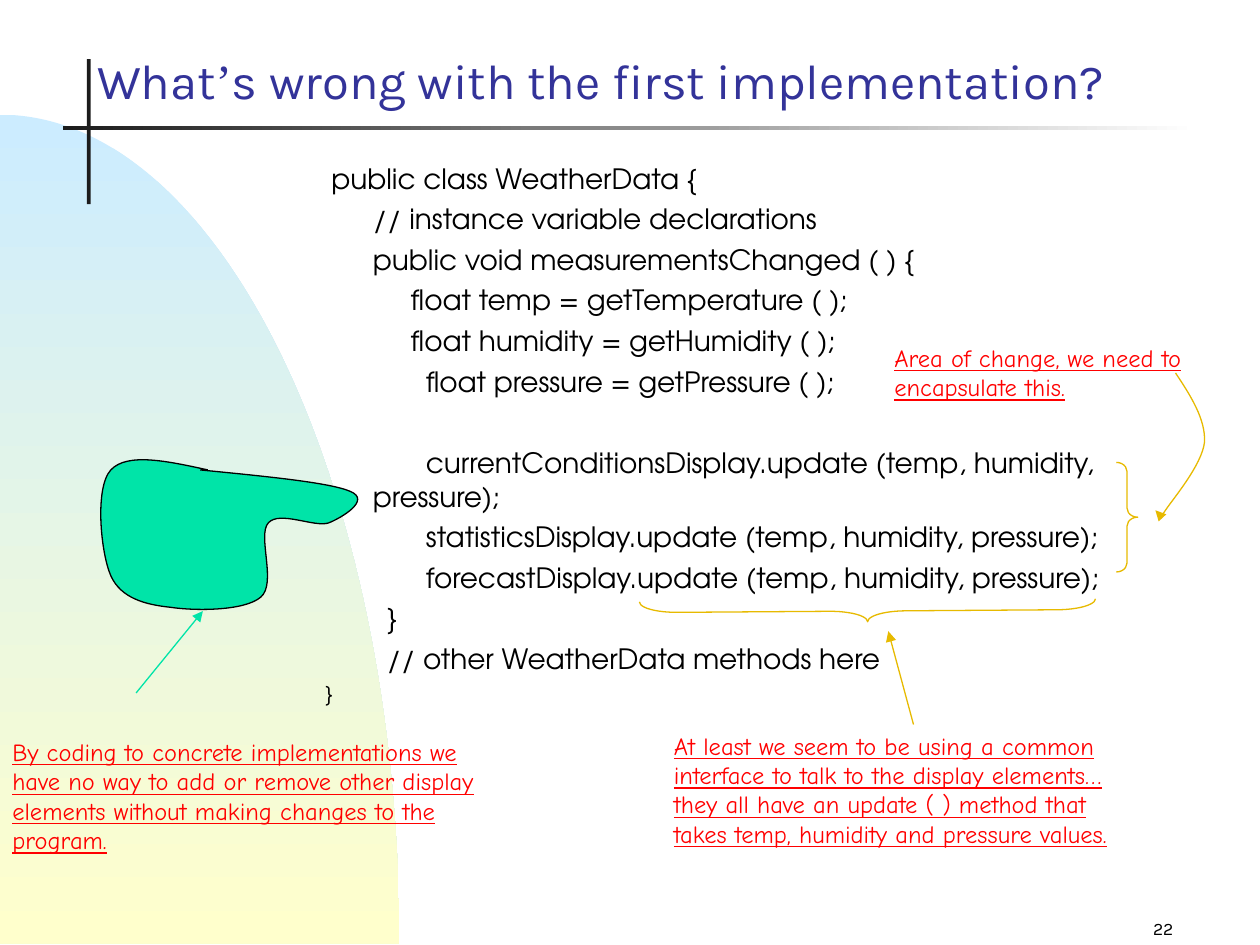
from lxml import etree
from pptx import Presentation
from pptx.dml.color import RGBColor
from pptx.enum import shapes, text
from pptx.oxml.ns import qn
from pptx.util import Inches, Pt

BLACK = RGBColor(0x00, 0x00, 0x00)
CHARCOAL = RGBColor(0x1C, 0x1C, 0x1C)
WHITE = RGBColor(0xFF, 0xFF, 0xFF)
SKY = RGBColor(0xCC, 0xEC, 0xFF)
CREAM = RGBColor(0xFF, 0xFF, 0xCC)
NAVY = RGBColor(0x33, 0x33, 0x99)
RED = RGBColor(0xFF, 0x00, 0x00)
GREEN = RGBColor(0x00, 0xE4, 0xA8)
GOLD = RGBColor(0xE7, 0xBA, 0x00)

prs = Presentation()
prs.slide_width, prs.slide_height = Inches(10), Inches(7.5)
s = prs.slides.add_slide(prs.slide_layouts[1])
title, body = s.placeholders[0], s.placeholders[1]


def add_curve(start, curves, corners=(), close=False):
    """Draw cubic Bezier curves, then straight lines to the corners."""
    points = [point for curve in curves for point in curve] + list(corners)
    builder = s.shapes.build_freeform(Inches(start[0]), Inches(start[1]))
    builder.add_line_segments([(Inches(x), Inches(y)) for x, y in points], close=close)
    sp = builder.convert_to_shape()
    sp.shadow.inherit = False
    # Every three straight segments become one curve
    lines = list(sp._element.iter(qn("a:lnTo")))
    for i in range(0, 3 * len(curves), 3):
        bezier = etree.Element(qn("a:cubicBezTo"))
        lines[i].addprevious(bezier)
        for line in lines[i:i + 3]:
            bezier.append(line[0])
            line.getparent().remove(line)
    return sp


def style(r, font, size, color):
    r.font.name, r.font.size, r.font.color.rgb = font, Pt(size), color


# Background arc and the crossed rules behind the title
arc = add_curve((0, 0.91), [((1.75, 0.91), (3.17, 3.86), (3.17, 7.49))], [(0, 7.49)], close=True)
upright = s.shapes.add_shape(shapes.MSO_SHAPE.RECTANGLE,
                             Inches(0.69), Inches(0.47), Inches(0.03), Inches(1.15))
rule = s.shapes.add_shape(shapes.MSO_SHAPE.RECTANGLE,
                          Inches(0.5), Inches(1), Inches(9), Inches(0.03))
upright.fill.solid()
upright.fill.fore_color.rgb = CHARCOAL
for sp, angle, colors in ((arc, 270, (SKY, CREAM)), (rule, 0, (CHARCOAL, WHITE))):
    sp.fill.gradient()
    sp.fill.gradient_angle = angle
    for stop, position, color in zip(sp.fill.gradient_stops, (0, 1), colors):
        stop.position, stop.color.rgb = position, color
for sp in (arc, upright, rule):
    sp.line.fill.background()
    sp.shadow.inherit = False

# Pointing hand
hand = add_curve((1.65, 3.73), [
    ((1.33, 3.66), (1.01, 3.59), (0.88, 3.73)),
    ((0.75, 3.87), (0.8, 4.39), (0.88, 4.57)),
    ((0.96, 4.75), (1.16, 4.8), (1.35, 4.82)),
    ((1.55, 4.85), (1.94, 4.85), (2.07, 4.74)),
    ((2.2, 4.63), (2.04, 4.25), (2.13, 4.15)),
    ((2.22, 4.05), (2.5, 4.19), (2.61, 4.15)),
    ((2.71, 4.11), (2.95, 3.97), (2.78, 3.9)),
    ((2.62, 3.83), (2.1, 3.78), (1.59, 3.73)),
])
hand.fill.solid()
hand.fill.fore_color.rgb = GREEN
hand.line.color.rgb = BLACK
hand.line.width = Pt(0.75)

# Title and code listing, placed in front of the background
for sp, box in ((title, (0.67, 0.17, 8.82, 0.75)), (body, (2.48, 1.23, 6.51, 5.82))):
    sp.left, sp.top, sp.width, sp.height = map(Inches, box)
    sp.text_frame.auto_size = text.MSO_AUTO_SIZE.NONE
    s.shapes._spTree.append(sp._element)

title.text_frame.vertical_anchor = text.MSO_ANCHOR.BOTTOM
p = title.text_frame.paragraphs[0]
p.alignment = text.PP_ALIGN.LEFT
for words, font in (("What", "Karla"), ("’", "Times New Roman"),
                    ("s wrong with the first implementation?", "Karla")):
    r = p.add_run()
    r.text = words
    style(r, font, 28, NAVY)

# Line, left margin, first-line indent, space before, size
code = [
    ("public class WeatherData {", 0.05, 0, 4, 16),
    ("// instance variable declarations", 0.38, 0, 4, 16),
    ("public void measurementsChanged ( ) {", 0.38, 0, 4, 16),
    ("float temp = getTemperature ( );", 0.68, 0, 4, 16),
    ("float humidity = getHumidity ( );", 0.68, 0, 4, 16),
    ("float pressure = getPressure ( );", 0.8, 0, 4, 16),
    ("currentConditionsDisplay.update (temp, humidity, pressure);", 0.38, 0.42, 27.3, 16),
    ("statisticsDisplay.update (temp, humidity, pressure);", 0.8, 0, 4, 16),
    ("forecastDisplay.update (temp, humidity, pressure);", 0.8, 0, 4, 16),
    ("}", 0.49, 0, 4, 16),
    ("// other WeatherData methods here", 0.49, 0, 4, 16),
    ("}", 0, 0, 3, 12),
]
tf = body.text_frame
tf.text = "\n".join(line[0] for line in code)
for p, (_, margin, indent, before, size) in zip(tf.paragraphs, code):
    p.space_before = Pt(before)
    pPr = p._p.get_or_add_pPr()
    pPr.set("marL", str(Inches(margin)))
    pPr.set("indent", str(Inches(indent)))
    etree.SubElement(pPr, qn("a:buNone"))
    style(p.runs[0], "TeX Gyre Adventor", size, BLACK)

# Braces around the update calls
for box, angle, curl in (((8.86, 3.67, 0.17, 0.87), 0, 0.42),
                         ((6.8, 3.04, 0.17, 3.62), 89.6, 1.78)):
    brace = s.shapes.add_shape(shapes.MSO_SHAPE.RIGHT_BRACE, *map(Inches, box))
    brace.adjustments[0] = curl
    brace.rotation = angle
    brace.fill.background()
    brace.line.color.rgb = GOLD
    brace.line.width = Pt(0.75)
    brace.shadow.inherit = False

# Arrows from the remarks
bend = add_curve((9.33, 2.96), [
    ((9.45, 3.14), (9.57, 3.33), (9.56, 3.51)),
    ((9.54, 3.69), (9.31, 3.96), (9.25, 4.05)),
    ((9.19, 4.14), (9.18, 4.1), (9.17, 4.05)),
])
bend.fill.background()
arrows = [(bend, GOLD)]
for ends, color in (((7.25, 5.75, 7.05, 5.01), GOLD), ((1.08, 5.5, 1.61, 4.85), GREEN)):
    arrow = s.shapes.add_connector(shapes.MSO_CONNECTOR.STRAIGHT, *map(Inches, ends))
    arrows.append((arrow, color))
for arrow, color in arrows:
    arrow.line.color.rgb = color
    arrow.line.width = Pt(0.75)
    etree.SubElement(arrow.line._get_or_add_ln(), qn("a:tailEnd"), type="triangle")
    if arrow is not bend:
        etree.SubElement(arrow._element.spPr, qn("a:effectLst"))

# Remarks and page number
remarks = [
    ("Area of change, we need to encapsulate this.", (7, 2.67, 2.93, 0.57)),
    ("At least we seem to be using a common interface to talk to the display elements…"
     "they all have an update ( ) method that takes temp, humidity and pressure values.",
     (5.25, 5.75, 3.92, 1.04)),
    ("By coding to concrete implementations we have no way to add or remove other display "
     "elements without making changes to the program.", (0, 5.8, 4.1, 1.04)),
]
for words, box in remarks:
    tf = s.shapes.add_textbox(*map(Inches, box)).text_frame
    tf.word_wrap = True
    tf.text = words
    r = tf.paragraphs[0].runs[0]
    style(r, "Comic Neue", 14, RED)
    r.font.underline = True

tf = s.shapes.add_textbox(Inches(7.33), Inches(7.17), Inches(2.08), Inches(0.33)).text_frame
tf.word_wrap = True
tf.vertical_anchor = text.MSO_ANCHOR.BOTTOM
tf.text = "22"
tf.paragraphs[0].alignment = text.PP_ALIGN.RIGHT
style(tf.paragraphs[0].runs[0], "Karla", 10, BLACK)

prs.save("out.pptx")
